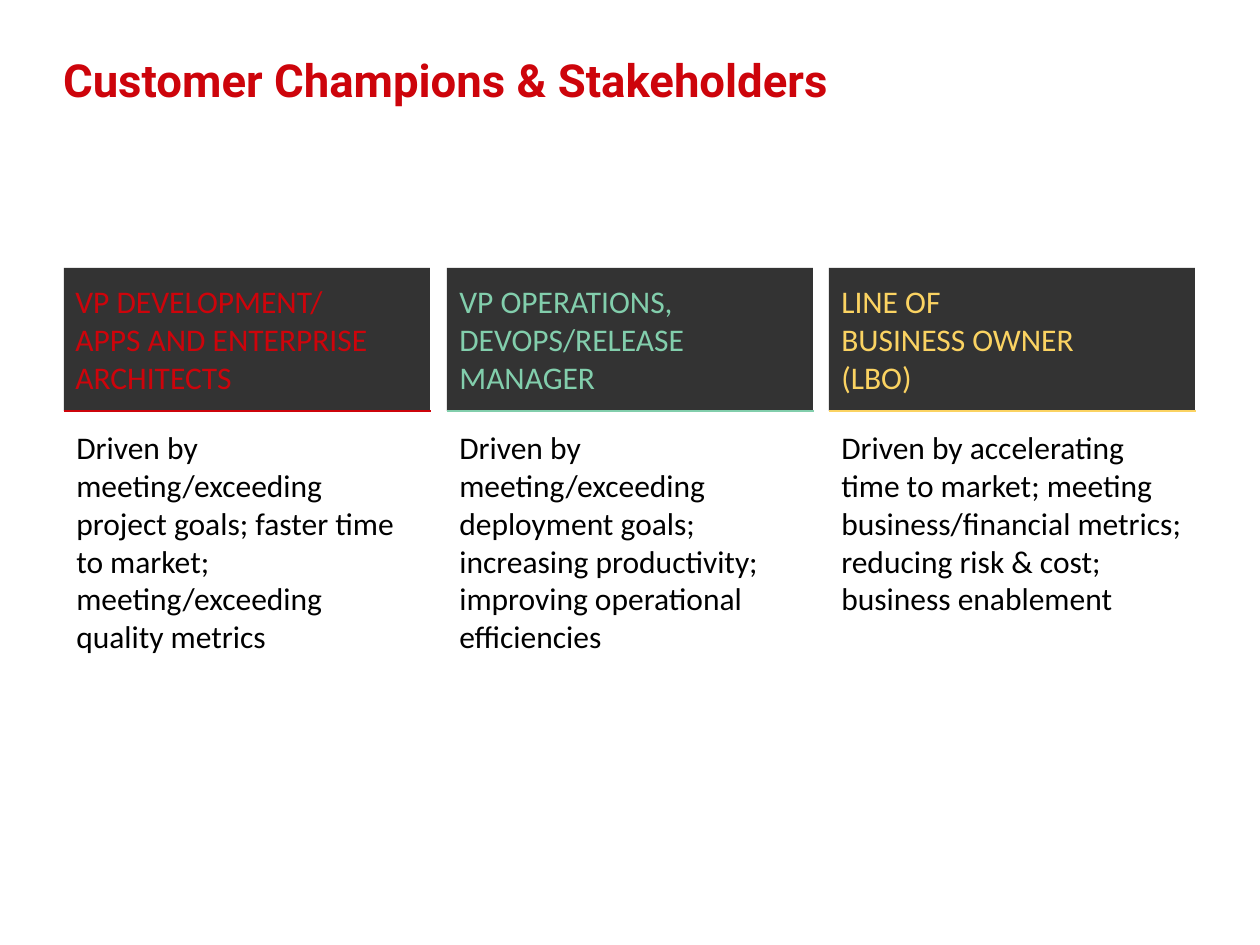
"""Build the Customer Champions & Stakeholders slide."""
import pptx
import pptx.dml.color
import pptx.enum.shapes
import pptx.enum.text
import pptx.util
import lxml.etree

PX = 914400 // 126
DRAWING = "http://schemas.openxmlformats.org/drawingml/2006/main"


def rgb(value):
    return pptx.dml.color.RGBColor.from_string(value)


def add_text(slide, box, text, size, font, color, inset=None, bold=False):
    frame = slide.shapes.add_textbox(*(v * PX for v in box)).text_frame
    frame.word_wrap = True
    frame.vertical_anchor = pptx.enum.text.MSO_ANCHOR.TOP
    if inset is not None:
        frame.margin_left = frame.margin_right = inset
        frame.margin_top = frame.margin_bottom = inset
    frame.text = text
    paragraph = frame.paragraphs[0]
    for run in paragraph.runs:
        run.font.size = pptx.util.Pt(size)
        run.font.name = font
        run.font.bold = bold
        run.font.color.rgb = rgb(color)
    return paragraph


presentation = pptx.Presentation()
presentation.slide_width = 1260 * PX
presentation.slide_height = 945 * PX
slide = presentation.slides.add_slide(presentation.slide_layouts[6])

title = add_text(slide, (63, 58, 977, 63), "Customer Champions & Stakeholders",
                 26, "Roboto", "CD040B", inset=0, bold=True)
title.line_spacing = 0.9

stakeholders = [
    (64, 63, "CD040B", "VP DEVELOPMENT/\vAPPS AND ENTERPRISE ARCHITECTS",
     "Driven by meeting/exceeding project goals; faster time to market; "
     "meeting/exceeding\vquality metrics"),
    (447, 447, "82CEAC", "VP OPERATIONS,\vDEVOPS/RELEASE MANAGER",
     "Driven by meeting/exceeding deployment goals; increasing productivity; "
     "improving operational efficiencies"),
    (829, 829, "FBD362", "LINE OF\vBUSINESS OWNER\v(LBO)",
     "Driven by accelerating time to market; meeting business/financial metrics; "
     "reducing risk & cost; business enablement"),
]

for left, role_left, accent, role, drivers in stakeholders:
    panel = slide.shapes.add_shape(pptx.enum.shapes.MSO_SHAPE.RECTANGLE,
                                   left * PX, 268 * PX, 366 * PX, 143 * PX)
    panel.shadow.inherit = False
    panel.fill.solid()
    panel.fill.fore_color.rgb = rgb("333333")
    panel.line.fill.background()

    underline = slide.shapes.add_connector(pptx.enum.shapes.MSO_CONNECTOR.STRAIGHT,
                                           left * PX, 411 * PX, (left + 367) * PX, 411 * PX)
    underline.line.color.rgb = rgb(accent)
    underline.line.width = pptx.util.Pt(1)
    lxml.etree.SubElement(underline._element.spPr, f"{{{DRAWING}}}effectLst")

    add_text(slide, (role_left, 276, 367, 127), role, 18, "Calibri", accent)
    add_text(slide, (left, 422, 366, 242), drivers, 18, "Calibri", "000000")

presentation.save("out.pptx")
